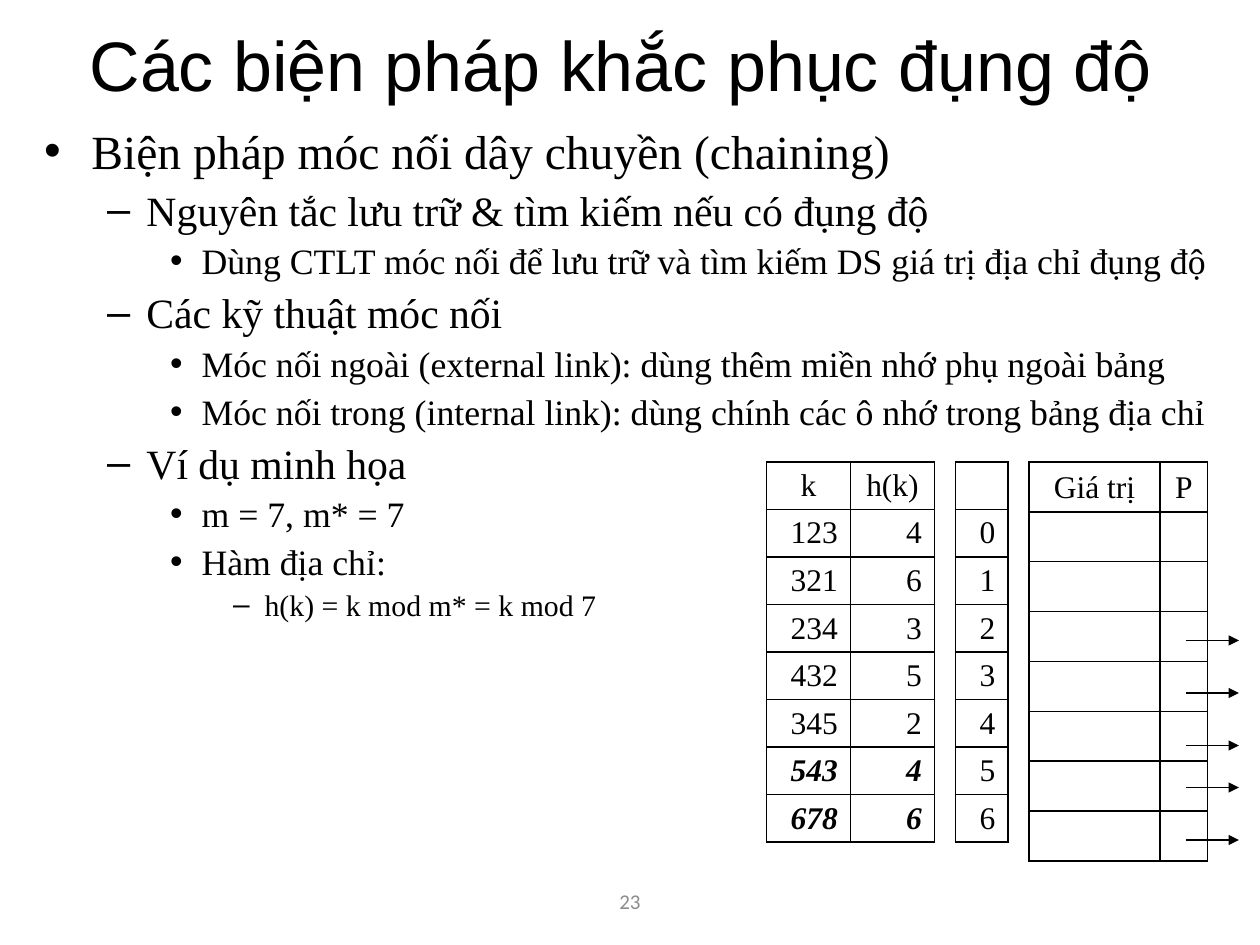
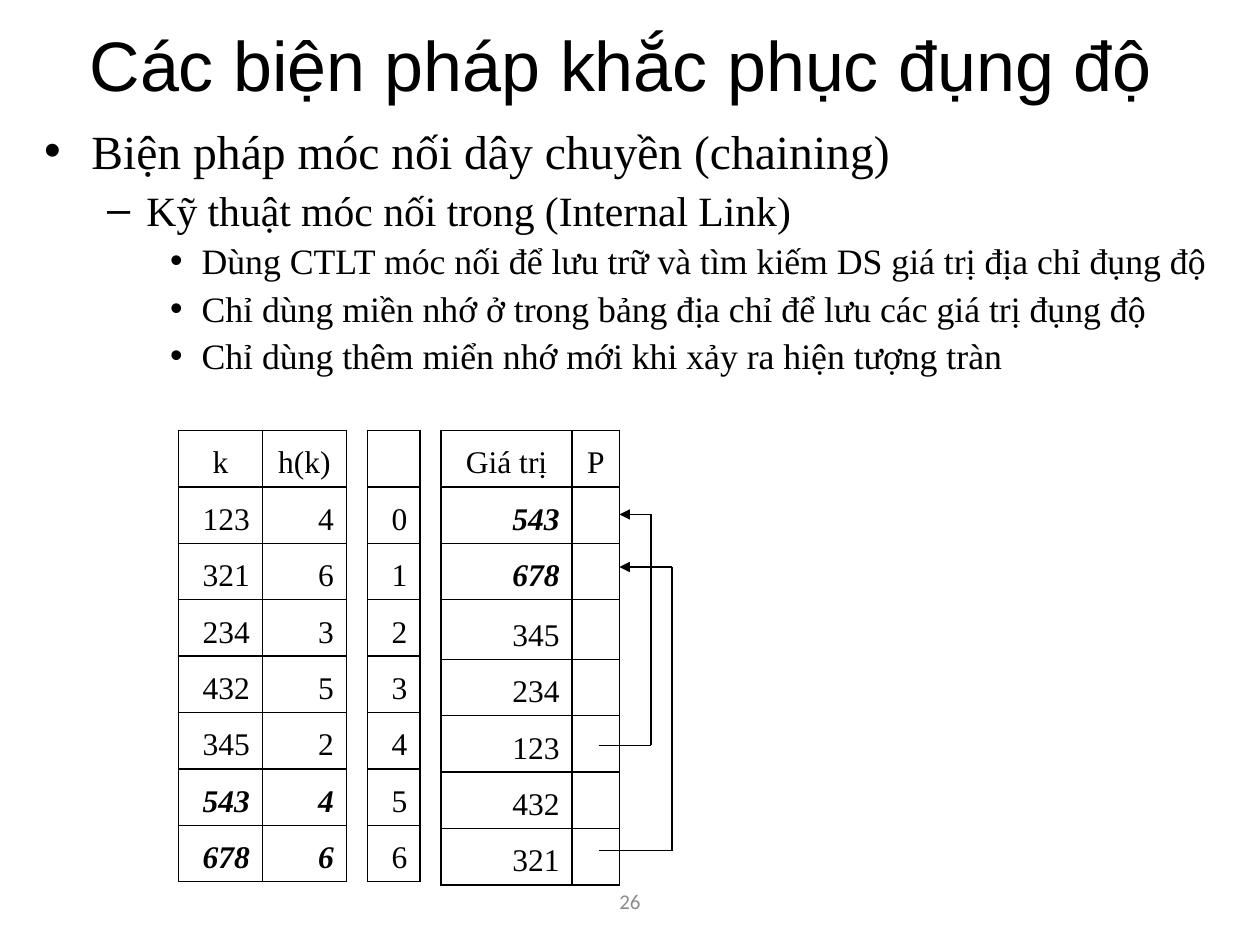
from lxml import etree
from pptx import Presentation
from pptx import util as u
from pptx.dml import color
from pptx.enum import shapes, text
from pptx.oxml import ns

SCALE = 7620
BLACK, GREY = "000000", "8C8C8C"
SERIF = "Times New Roman"
LEVEL_SIZES = (27.2, 23.8, 20.4, 17)
CENTER, RIGHT = text.PP_ALIGN.CENTER, text.PP_ALIGN.RIGHT

TITLE = "Các biện pháp khắc phục đụng độ "
TOPIC = (0, "Biện pháp móc nối dây chuyền (chaining)")
USAGE = (2, "Dùng CTLT móc nối để lưu trữ và tìm kiếm DS giá trị địa chỉ đụng độ")
OVERVIEW = [
    TOPIC,
    (1, "Nguyên tắc lưu trữ & tìm kiếm nếu có đụng độ"),
    USAGE,
    (1, "Các kỹ thuật móc nối"),
    (2, "Móc nối ngoài (external link): dùng thêm miền nhớ phụ ngoài bảng"),
    (2, "Móc nối trong (internal link): dùng chính các ô nhớ trong bảng địa chỉ"),
    (1, "Ví dụ minh họa"),
    (2, "m = 7, m* = 7"),
    (2, "Hàm địa chỉ:"),
    (3, "h(k) = k mod m* = k mod 7"),
]
INTERNAL_LINK = [
    TOPIC,
    (1, "Kỹ thuật móc nối trong (Internal Link)"),
    USAGE,
    (2, "Chỉ dùng miền nhớ ở trong bảng địa chỉ để lưu các giá trị đụng độ"),
    (2, "Chỉ dùng thêm miển nhớ mới khi xảy ra hiện tượng tràn"),
]

M = 7
KEYS = (123, 321, 234, 432, 345, 543, 678)
COLLIDING = ("543", "678")
HASHES = [("k", "h(k)")] + [(str(k), str(k % M)) for k in KEYS]
ADDRESSES = [("",)] + [(str(i),) for i in range(M)]
SLOTS = ("543", "678", "345", "234", "123", "432", "321")


def rgb(value):
    return color.RGBColor.from_string(value)


def px(value):
    return u.Emu(value * SCALE)


def apply(obj, values):
    for name, value in values.items():
        setattr(obj, name, value)


def slot_rows(values):
    return [("Giá trị", "P")] + [(value, "") for value in values]


class Deck:
    def __init__(self):
        self.prs = Presentation()
        apply(self.prs, {"slide_width": px(1200), "slide_height": px(900)})
        self.s = None

    def slide(self, number, items, body_height):
        self.s = self.prs.slides.add_slide(self.prs.slide_layouts[1])
        self.number(number)
        self.title(TITLE)
        self.body(items, body_height)

    def place(self, sp, left, top, width, height):
        apply(sp, {"left": px(left), "top": px(top), "width": px(width), "height": px(height)})
        tf = sp.text_frame
        apply(tf, {"word_wrap": True, "auto_size": text.MSO_AUTO_SIZE.NONE})
        return tf

    def add_words(self, p, words, size, font=SERIF, fill=BLACK, **style):
        r = p.add_run()
        r.text = words
        apply(r.font, {"size": u.Pt(size), "name": font, **style})
        r.font.color.rgb = rgb(fill)

    def number(self, number):
        tf = self.place(self.s.shapes.add_textbox(0, 0, 0, 0), 410, 834, 380, 48)
        tf.vertical_anchor = text.MSO_ANCHOR.MIDDLE
        p = tf.paragraphs[0]
        p.alignment = CENTER
        self.add_words(p, str(number), 12, "Calibri", GREY)

    def title(self, words):
        tf = self.place(self.s.shapes.title, 30, 10, 1140, 100)
        tf.vertical_anchor = text.MSO_ANCHOR.MIDDLE
        self.add_words(tf.paragraphs[0], words, 40, "Arial")

    def body(self, items, height):
        tf = self.place(self.s.placeholders[1], 30, 110, 1140, height)
        for i, (level, words) in enumerate(items):
            p = tf.add_paragraph() if i else tf.paragraphs[0]
            size = LEVEL_SIZES[level]
            apply(p, {"level": level, "space_before": u.Pt(size * 0.13)})
            self.add_words(p, words, size)

    def table(self, left, top, widths, height, rows, taller=None):
        frame = self.s.shapes.add_table(
            len(rows), len(widths), px(left), px(top), px(sum(widths)), px(height))
        table = frame.table
        apply(table, {"first_row": False, "horz_banding": False})
        for column, width in zip(table.columns, widths):
            column.width = px(width)
        for i, row in enumerate(rows):
            table.rows[i].height = px(height) // len(rows)
            if i == taller:
                table.rows[i].height += px(3)
            strong = row[0] in COLLIDING
            for j, words in enumerate(row):
                self.cell(table.cell(i, j), words, RIGHT if i else CENTER, strong)

    def cell(self, cell, words, align, strong):
        cell.vertical_anchor = text.MSO_ANCHOR.BOTTOM
        props = cell._tc.get_or_add_tcPr()
        for side in ("a:lnL", "a:lnR", "a:lnT", "a:lnB"):
            line = etree.SubElement(props, ns.qn(side), w=str(u.Pt(1)))
            fill = etree.SubElement(line, ns.qn("a:solidFill"))
            etree.SubElement(fill, ns.qn("a:srgbClr"), val=BLACK)
        cell.fill.background()
        p = cell.text_frame.paragraphs[0]
        p.alignment = align
        if words:
            self.add_words(p, words, 18, bold=strong, italic=strong)
        else:
            end = etree.SubElement(p._p, ns.qn("a:endParaRPr"), sz="1800")
            etree.SubElement(end, ns.qn("a:latin"), typeface=SERIF)

    def arrow(self, *points):
        for start, end in zip(points, points[1:]):
            line = self.s.shapes.add_connector(
                shapes.MSO_CONNECTOR.STRAIGHT, *map(px, start + end))
            line.line.width = u.Pt(0.75)
            line.line.color.rgb = rgb(BLACK)
            etree.SubElement(line._element.spPr, ns.qn("a:effectLst"))
        etree.SubElement(line.line._get_or_add_ln(), ns.qn("a:tailEnd"), type="triangle")

    def hash_tables(self, left, top, height, slots, slots_height, taller=None):
        self.table(left, top, (80, 80), height, HASHES)
        self.table(left + 180, top, (50,), height, ADDRESSES)
        self.table(left + 250, top, (125, 45), slots_height, slot_rows(slots), taller)


def main():
    deck = Deck()

    deck.slide(23, OVERVIEW, 510)
    deck.hash_tables(730, 440, 362, [""] * M, 380)
    for y in (610, 660, 710, 750, 800):
        deck.arrow((1130, y), (1180, y))

    deck.slide(26, INTERNAL_LINK, 270)
    deck.hash_tables(170, 410, 430, SLOTS, 430, taller=3)
    for source, turn, target in ((710, 620, 490), (810, 640, 540)):
        deck.arrow((570, source), (turn, source), (turn, target), (590, target))

    deck.prs.save("out.pptx")


if __name__ == "__main__":
    main()
